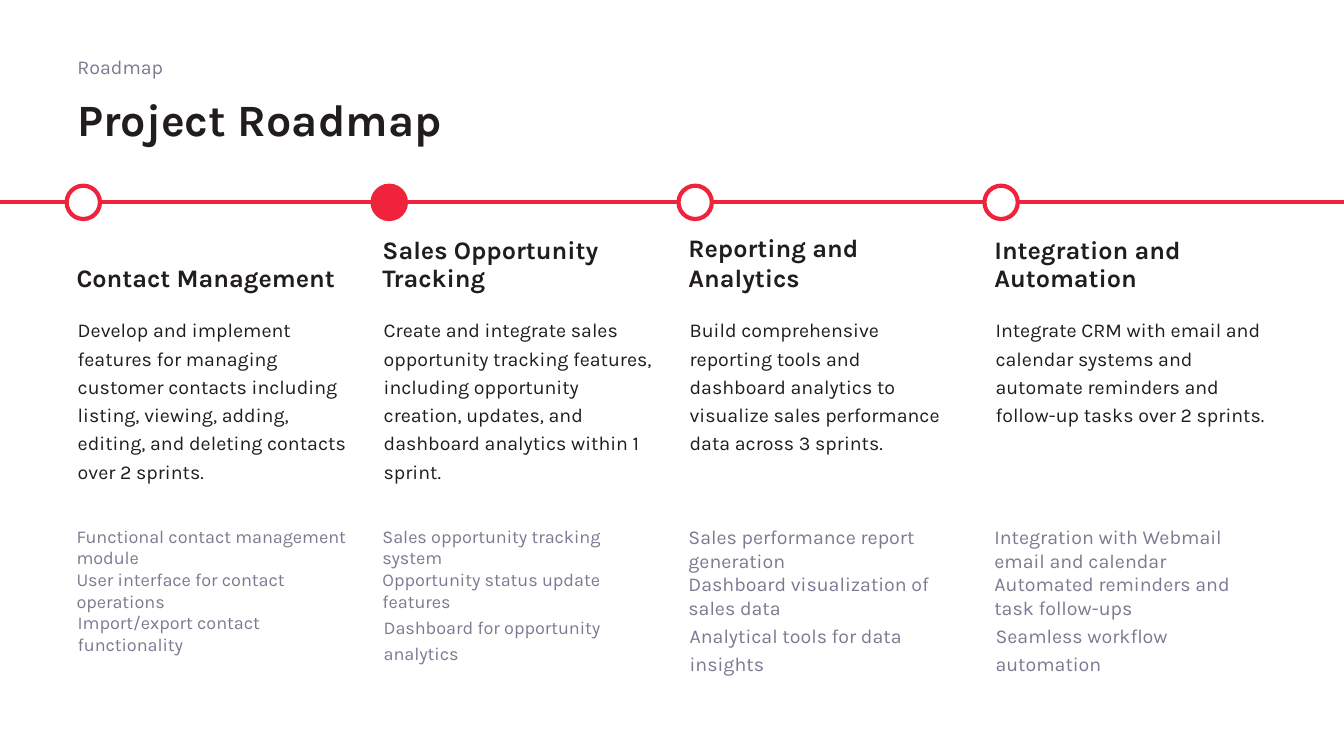
from lxml import etree
from pptx import Presentation
from pptx.dml.color import RGBColor
from pptx.enum.shapes import MSO_CONNECTOR, MSO_SHAPE
from pptx.enum.text import MSO_ANCHOR
from pptx.oxml.ns import qn
from pptx.util import Cm, Pt

INK = RGBColor(0x20, 0x1C, 0x20)
GREY = RGBColor(0x7D, 0x79, 0x91)
RED = RGBColor(0xEF, 0x23, 0x3C)
WHITE = RGBColor(0xFF, 0xFF, 0xFF)

LEFT, PITCH, COL_W = 1.68, 7.71, 7.35
LINE_Y, DOT = 5.1, 0.84
HANG = Cm(0.03)

# heading, heading line spacing, done, description, deliverables, their size, last line spacing
PHASES = [
    ("Contact Management", 1.0, False,
     "Develop and implement features for managing customer contacts including "
     "listing, viewing, adding, editing, and deleting contacts over 2 sprints.",
     ["Functional contact management module",
      "User interface for contact operations",
      "Import/export contact functionality"], 12.9, 1.0),
    ("Sales Opportunity Tracking", 0.9, True,
     "Create and integrate sales opportunity tracking features, including "
     "opportunity creation, updates, and dashboard analytics within 1 sprint.",
     ["Sales opportunity tracking system",
      "Opportunity status update features",
      "Dashboard for opportunity analytics"], 12.9, 1.2),
    ("Reporting and Analytics", 1.0, False,
     "Build comprehensive reporting tools and dashboard analytics to "
     "visualize sales performance data across 3 sprints.",
     ["Sales performance report generation",
      "Dashboard visualization of sales data",
      "Analytical tools for data insights"], 14, 1.2),
    ("Integration and Automation", 0.9, False,
     "Integrate CRM with email and calendar systems and automate reminders "
     "and follow-up tasks over 2 sprints.",
     ["Integration with Webmail email and calendar",
      "Automated reminders and task follow-ups",
      "Seamless workflow automation"], 14, 1.2),
]

prs = Presentation()
prs.slide_width, prs.slide_height = Cm(33.87), Cm(19.05)
s = prs.slides.add_slide(prs.slide_layouts[6])


def add_box(x, y, w, h, anchor=MSO_ANCHOR.TOP):
    tf = s.shapes.add_textbox(Cm(x), Cm(y), Cm(w), Cm(h)).text_frame
    tf.word_wrap = True
    tf.vertical_anchor = anchor
    return tf


def write(p, text, size, color, bold=False, spacing=1.0, before=0, indent=0):
    p.line_spacing = spacing
    p.space_before = Pt(before)
    if indent:
        p._p.get_or_add_pPr().set("marL", str(indent))
    r = p.add_run()
    r.text = text
    r.font.name = "Karla"
    r.font.size = Pt(size)
    r.font.bold = bold
    r.font.color.rgb = color


# Header
tf = add_box(1.7, 1.27, 15.24, 1.14)
write(tf.paragraphs[0], "Roadmap", 14, GREY)
tf = add_box(1.7, 1.96, 30.48, 2.21, MSO_ANCHOR.MIDDLE)
write(tf.paragraphs[0], "Project Roadmap", 32, INK, bold=True, spacing=0.9)

# Timeline
timeline = s.shapes.add_connector(MSO_CONNECTOR.STRAIGHT, 0, Cm(LINE_Y),
                                  prs.slide_width, Cm(LINE_Y))
timeline.line.color.rgb = RED
timeline.line.width = Pt(3)
etree.SubElement(timeline._element.spPr, qn("a:effectLst"))

# Phases
for i, (heading, heading_ls, done, description, items, size, last_ls) in enumerate(PHASES):
    x = LEFT + i * PITCH

    dot = s.shapes.add_shape(MSO_SHAPE.OVAL, Cm(x), Cm(LINE_Y - DOT / 2), Cm(DOT), Cm(DOT))
    dot.shadow.inherit = False
    dot.fill.solid()
    dot.fill.fore_color.rgb = RED if done else WHITE
    dot.line.color.rgb = RED
    dot.line.width = Pt(3)

    tf = add_box(x, 5.77, COL_W, 1.73, MSO_ANCHOR.BOTTOM)
    write(tf.paragraphs[0], heading, 18, INK, bold=True, spacing=heading_ls, before=12)

    tf = add_box(x, 7.78, COL_W, 5)
    write(tf.paragraphs[0], description, 14, INK, spacing=1.2, before=12, indent=HANG)

    tf = add_box(x, 13.11, COL_W, 3.78)
    for j, item in enumerate(items):
        p = tf.add_paragraph() if j else tf.paragraphs[0]
        last = j == len(items) - 1
        write(p, item, size, GREY, spacing=last_ls if last else 1.0,
              indent=HANG if last else 0)

prs.save("out.pptx")
